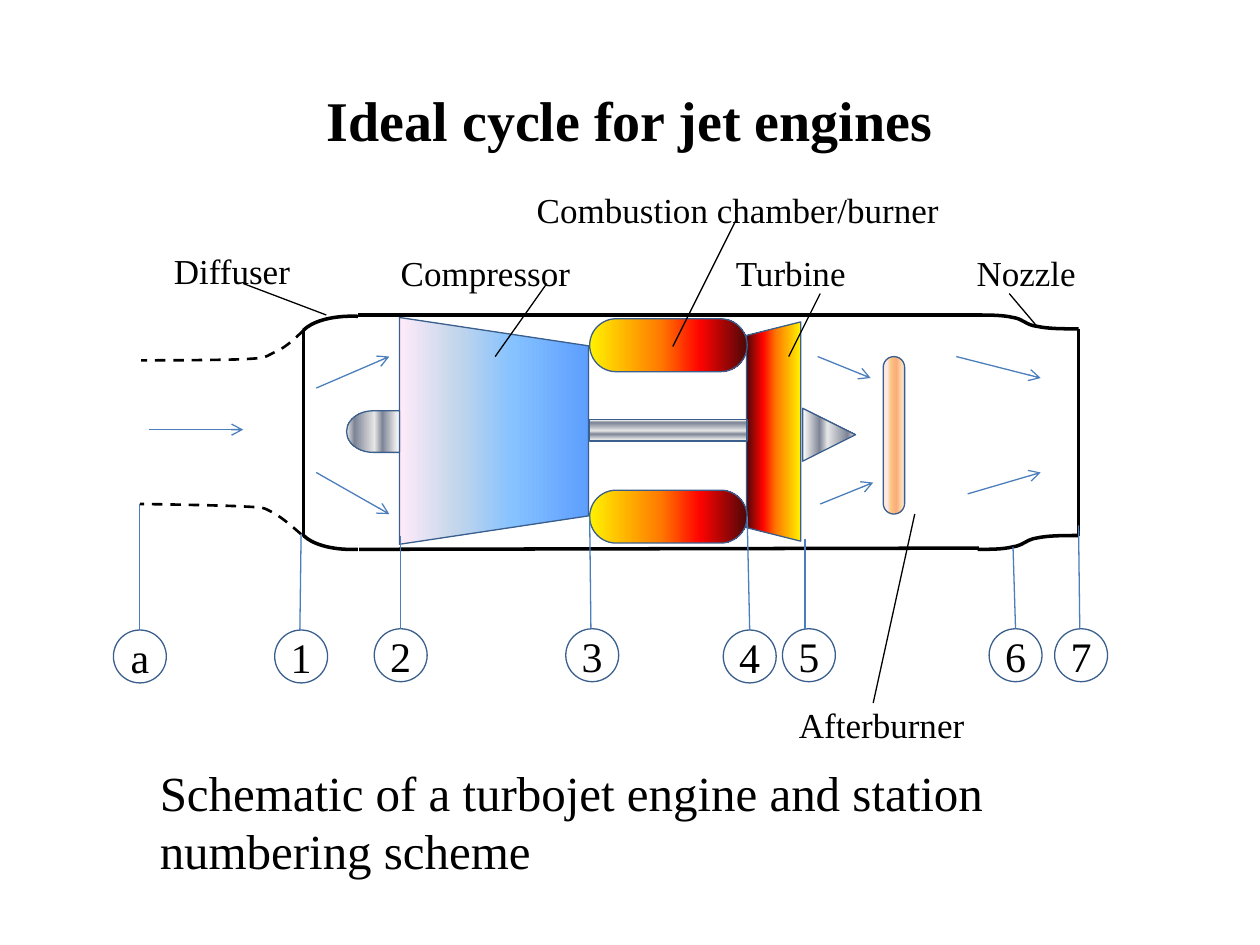
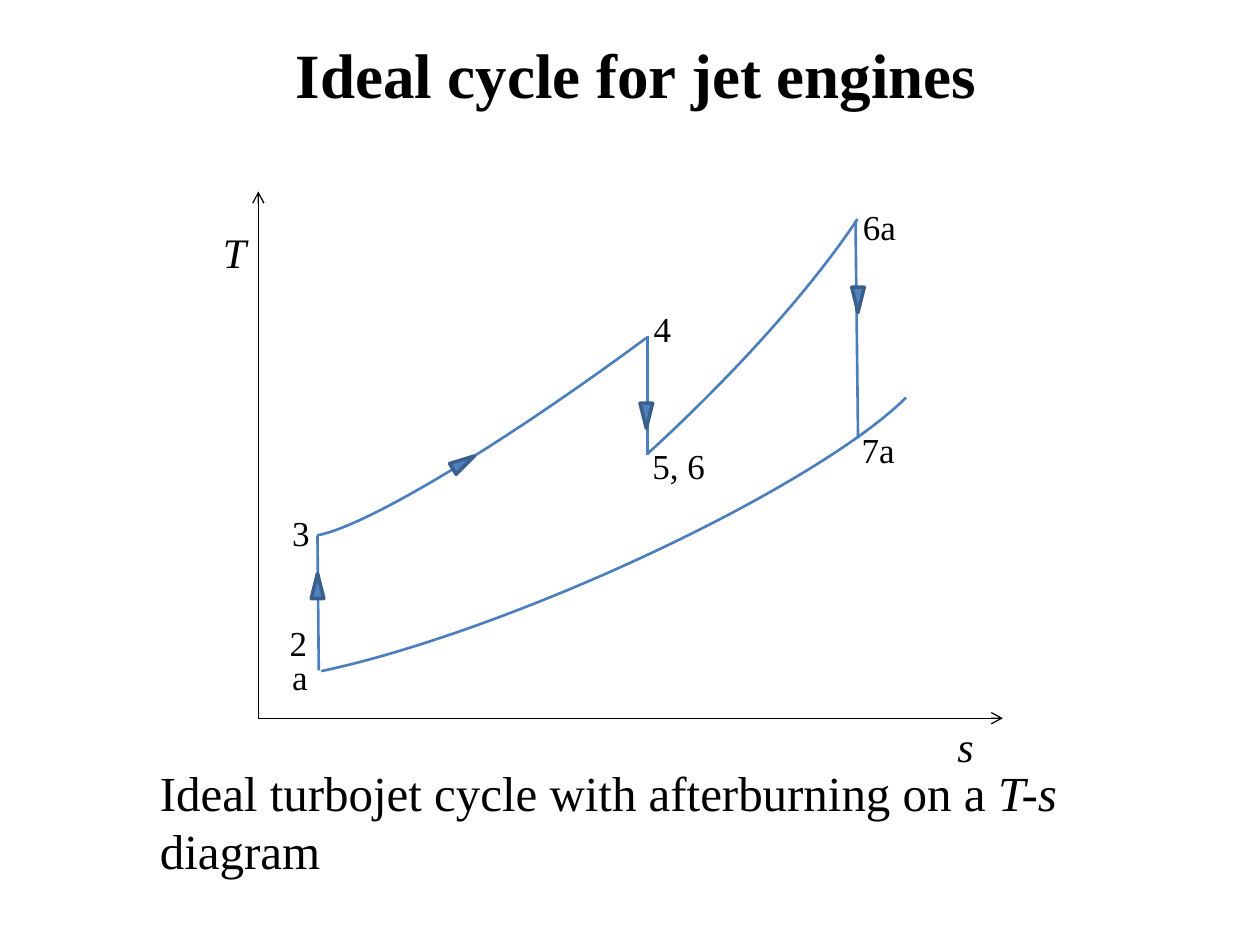
from dataclasses import dataclass
from lxml.etree import SubElement
from pptx import Presentation
from pptx.dml.color import RGBColor
from pptx.enum.dml import MSO_LINE
from pptx.enum.shapes import MSO_CONNECTOR, MSO_SHAPE
from pptx.enum.text import MSO_ANCHOR, MSO_AUTO_SIZE, PP_ALIGN
from pptx.oxml.ns import qn
from pptx.util import Inches, Pt


@dataclass(frozen=True)
class Theme:
    font: str = "Times New Roman"
    ink: str = "000000"
    edge: str = "3A5F8C"
    blue: str = "4B7EBC"
    fill: str = "4F81BD"
    label: int = 20
    mark: int = 24
    body: int = 28
    thin: float = 0.75
    curve: float = 1.5
    wall: float = 2


T = Theme()
COLS, ROWS = 1000, 750  # fine grid, 100 cells to the inch
CELL = Inches(0.01)

TITLE = "Ideal cycle for jet engines"

# Gradients: (percent, colour) stops
COOL = [(0, "5E9EFF"), (40, "85C2FF"), (70, "C4D6EB"), (100, "FFEBFA")]
FIRE = [(0, "FFF200"), (45, "FF7A00"), (70, "FF0300"), (100, "4D0808")]
STEEL = [(0, "FFFFFF"), (7, "E6E6E6"), (32, "7D8496"),
         (47, "E6E6E6"), (85, "7D8496"), (100, "E6E6E6")]
GLOW = [(0, "FBEAC7"), (18, "FEE7F2"), (36, "FAC77D"),
        (61, "FBA97D"), (82, "FBD49C"), (100, "FEE7F2")]

# Engine: straight walls, rounded lips (box, turn, angles), Bezier outlines
WALLS = [(284, 250, 776, 250), (285, 436, 777, 435),
         (241, 425, 241, 262), (856, 261, 856, 425)]
LIPS = [((262, 226, 42, 92), 272.7, (168.25, 0)),
        ((262, 369, 42, 92), 87.3, (0, 47.75))]
NOZZLE = [
    [(775, 250), (785, 250), (796, 250), (804, 252), (812, 253), (814, 258),
     (823, 259), (832, 261), (844, 261), (856, 261)],
    [(776, 436), (786, 436), (796, 436), (804, 434), (812, 433), (815, 428),
     (823, 427), (832, 425), (844, 425), (856, 425)]]
INTAKE = [
    [(241, 262), (233, 270), (225, 277), (217, 280), (209, 284),
     (212, 284), (195, 285), (177, 286), (112, 286), (112, 286)],
    [(239, 424), (231, 417), (223, 410), (215, 406), (207, 402),
     (210, 403), (193, 402), (175, 401), (111, 400), (111, 400)]]

# (shape, box, turn, adjustments, gradient, gradient angle)
PARTS = [
    (MSO_SHAPE.TRAPEZOID, (302, 267, 180, 150), 90, (0.15,), COOL, 90),
    (MSO_SHAPE.TRAPEZOID, (527, 321, 174, 43), 270, (), FIRE, 270),
    (MSO_SHAPE.RECTANGLE, (468, 333, 125, 17), 0, (), STEEL, 270),
    (MSO_SHAPE.ISOSCELES_TRIANGLE, (637, 324, 42, 42), 90, (), STEEL, 270),
    (MSO_SHAPE.ROUNDED_RECTANGLE, (468, 253, 125, 42), 0, (0.5,), FIRE, 0),
    (MSO_SHAPE.ROUNDED_RECTANGLE, (468, 389, 125, 42), 0, (0.5,), FIRE, 0),
    (MSO_SHAPE.FLOWCHART_DELAY, (275, 326, 42, 33), 180, (), STEEL, 0),
    (MSO_SHAPE.ROUNDED_RECTANGLE, (701, 283, 17, 125), 0, (0.5,), GLOW, 0)]

# (name, circle left and top, line foot column, line head column and row)
RING = 42
STOPS = [("a", 90, 500, 111, 111, 400), ("1", 218, 500, 238, 239, 424),
         ("2", 297, 499, 318, 318, 425), ("3", 449, 499, 469, 468, 410),
         ("4", 574, 500, 595, 593, 410), ("5", 621, 499, 639, 639, 428),
         ("6", 785, 499, 806, 804, 434), ("7", 837, 499, 857, 856, 417)]

FLOW = [(118, 341, 193, 341), (251, 308, 309, 283), (251, 375, 309, 408),
        (649, 283, 691, 300), (651, 400, 693, 383),
        (759, 283, 826, 300), (768, 392, 826, 375)]

# (name, column, row, width, pointer line)
NAMES = [("Compressor", 318, 200, 175, (434, 225, 393, 283)),
         ("Diffuser", 138, 198, 175, (193, 225, 259, 250)),
         ("Combustion chamber/burner", 426, 150, 475, (584, 175, 534, 275)),
         ("Turbine", 584, 200, 175, (651, 233, 626, 283)),
         ("Afterburner", 634, 558, 175, (726, 408, 693, 558)),
         ("Nozzle", 775, 200, 175, (801, 233, 823, 259))]

# T-s diagram
AXES = [(205, 570, 796, 570), (205, 570, 205, 152)]
DROPS = [(514, 361, 514, 267), (253, 532, 252, 425), (681, 348, 679, 175)]
BENDS = [((139, 346, 624, 117), 156.5, (111.09, 210.2)),
         ((177, 198, 625, 78), 143.5, (162, 214.91)),
         ((94, 216, 712, 172), 137.9, (115.83, 158.62))]
HEADS = [(508, 320, 0), (363, 357, 239), (247, 455, 180), (676, 228, 0)]
# (name, column, row, width, wrap)
STATES = [("2", 220, 488, 43, True), ("4", 509, 239, 34, False),
          ("5, 6", 508, 348, 83, True), ("3", 222, 401, 42, True),
          ("a", 222, 515, 43, True), ("6a", 675, 158, 47, False),
          ("7a", 674, 335, 47, False)]
SIGNS = [("s", 750, 567, 33), ("T", 167, 175, 39)]


def cells(*sizes):
    return [round(size * CELL) for size in sizes]


def rgb(code):
    return RGBColor.from_string(code)


def stroke(item, color, width):
    item.line.color.rgb = rgb(color)
    item.line.width = Pt(width)


def style(frame, size, bold=False, slant=None):
    """Format every run; slant names the one run text set in italics."""
    for run in frame.paragraphs[0].runs:
        font = run.font
        font.name, font.size, font.bold = T.font, Pt(size), bold
        font.italic = run.text == slant
        font.color.rgb = rgb(T.ink)


def bare(frame):
    frame.margin_left = frame.margin_right = 0
    frame.margin_top = frame.margin_bottom = 0


def write(slide, parts, box, size, wrap=True, grow=True, **look):
    frame = slide.shapes.add_textbox(*cells(*box)).text_frame
    frame.word_wrap = wrap
    if grow:
        frame.auto_size = MSO_AUTO_SIZE.SHAPE_TO_FIT_TEXT
    for part in parts:
        frame.paragraphs[0].add_run().text = part
    style(frame, size, **look)
    return frame


def rule(slide, ends, color, width, arrow=False):
    line = slide.shapes.add_connector(MSO_CONNECTOR.STRAIGHT, *cells(*ends))
    stroke(line, color, width)
    if arrow:
        SubElement(line.line._get_or_add_ln(), qn("a:tailEnd"), type="arrow")
    SubElement(line._element.spPr, qn("a:effectLst"))


def draw(slide, kind, box, color, width, turn=0, adjust=()):
    shape = slide.shapes.add_shape(kind, *cells(*box))
    shape.shadow.inherit = False
    shape.rotation = turn
    for i, value in enumerate(adjust):
        shape.adjustments[i] = value
    shape.fill.background()
    stroke(shape, color, width)
    return shape


def shade(shape, stops, angle):
    shape.fill.gradient()
    grad = shape._element.spPr.find(qn("a:gradFill"))
    group = grad.find(qn("a:gsLst"))
    for old in list(group):
        group.remove(old)
    for share, color in stops:
        stop = SubElement(group, qn("a:gs"), pos=str(share * 1000))
        SubElement(stop, qn("a:srgbClr"), val=color)
    grad.find(qn("a:lin")).set("ang", str(angle * 60000))


def bend(shape):
    """Turn each three line segments of a freeform into one Bezier curve."""
    track = next(shape._element.iter(qn("a:path")))
    lines = track.findall(qn("a:lnTo"))
    for i in range(0, len(lines), 3):
        curve = SubElement(track, qn("a:cubicBezTo"))
        for line in lines[i:i + 3]:
            curve.append(line[0])
            track.remove(line)


def sweep(slide, points, width, dash=False):
    first, *rest = [cells(*point) for point in points]
    pen = slide.shapes.build_freeform(*first)
    pen.add_line_segments(rest, close=False)
    shape = pen.convert_to_shape()
    bend(shape)
    shape.shadow.inherit = False
    shape.fill.background()
    stroke(shape, T.ink, width)
    if dash:
        shape.line.dash_style = MSO_LINE.DASH


def start(deck, left, top, size):
    """Add a blank slide with the shared title."""
    slide = deck.slides.add_slide(deck.slide_layouts[6])
    frame = write(slide, [TITLE], (left, top, 900, 75), size,
                  grow=False, bold=True)
    frame.paragraphs[0].alignment = PP_ALIGN.CENTER
    return slide


def note(slide, parts, width, slant=None):
    write(slide, parts, (117, 600, width, 104), T.body, slant=slant)


def engine(deck):
    slide = start(deck, 50, 63, 32)
    for ends in WALLS:
        rule(slide, ends, T.ink, T.wall)
    for box, turn, angles in LIPS:
        draw(slide, MSO_SHAPE.ARC, box, T.ink, T.wall, turn, angles)
    for points in NOZZLE:
        sweep(slide, points, T.wall)
    for kind, box, turn, adjust, stops, angle in PARTS:
        shade(draw(slide, kind, box, T.edge, T.thin, turn, adjust), stops, angle)
    for points in INTAKE:
        sweep(slide, points, T.curve, dash=True)
    for name, left, top, foot, col, row in STOPS:
        ring = draw(slide, MSO_SHAPE.FLOWCHART_CONNECTOR,
                    (left, top, RING, RING), T.edge, T.thin)
        frame = ring.text_frame
        frame.text = name
        frame.vertical_anchor = MSO_ANCHOR.MIDDLE
        frame.paragraphs[0].alignment = PP_ALIGN.CENTER
        bare(frame)
        style(frame, T.mark)
        rule(slide, (foot, top, col, row), T.blue, T.thin)
    for ends in FLOW:
        rule(slide, ends, T.blue, T.thin, arrow=True)
    for name, col, row, width, ends in NAMES:
        bare(write(slide, [name], (col, row, width, 34), T.label))
        rule(slide, ends, T.ink, T.thin)
    note(slide, ["Schematic of a turbojet engine and station numbering scheme"], 800)


def cycle(deck):
    slide = start(deck, 55, 23, 36)
    for ends in AXES:
        rule(slide, ends, T.ink, T.thin, arrow=True)
    for ends in DROPS:
        rule(slide, ends, T.blue, T.curve)
    for box, turn, angles in BENDS:
        draw(slide, MSO_SHAPE.ARC, box, T.blue, T.curve, turn, angles)
    for col, row, turn in HEADS:
        head = draw(slide, MSO_SHAPE.FLOWCHART_MERGE, (col, row, 10, 20),
                    T.edge, T.wall, turn)
        head.fill.solid()
        head.fill.fore_color.rgb = rgb(T.fill)
    for name, col, row, width, wrap in STATES:
        write(slide, [name], (col, row, width, 44), T.label, wrap)
    for name, col, row, width in SIGNS:
        write(slide, [name], (col, row, width, 50), T.mark, False, slant=name)
    note(slide, ["Ideal turbojet cycle with afterburning on a ", "T-s", " diagram"],
         775, slant="T-s")


def main():
    deck = Presentation()
    deck.slide_width, deck.slide_height = cells(COLS, ROWS)
    engine(deck)
    cycle(deck)
    deck.save("out.pptx")


if __name__ == "__main__":
    main()
